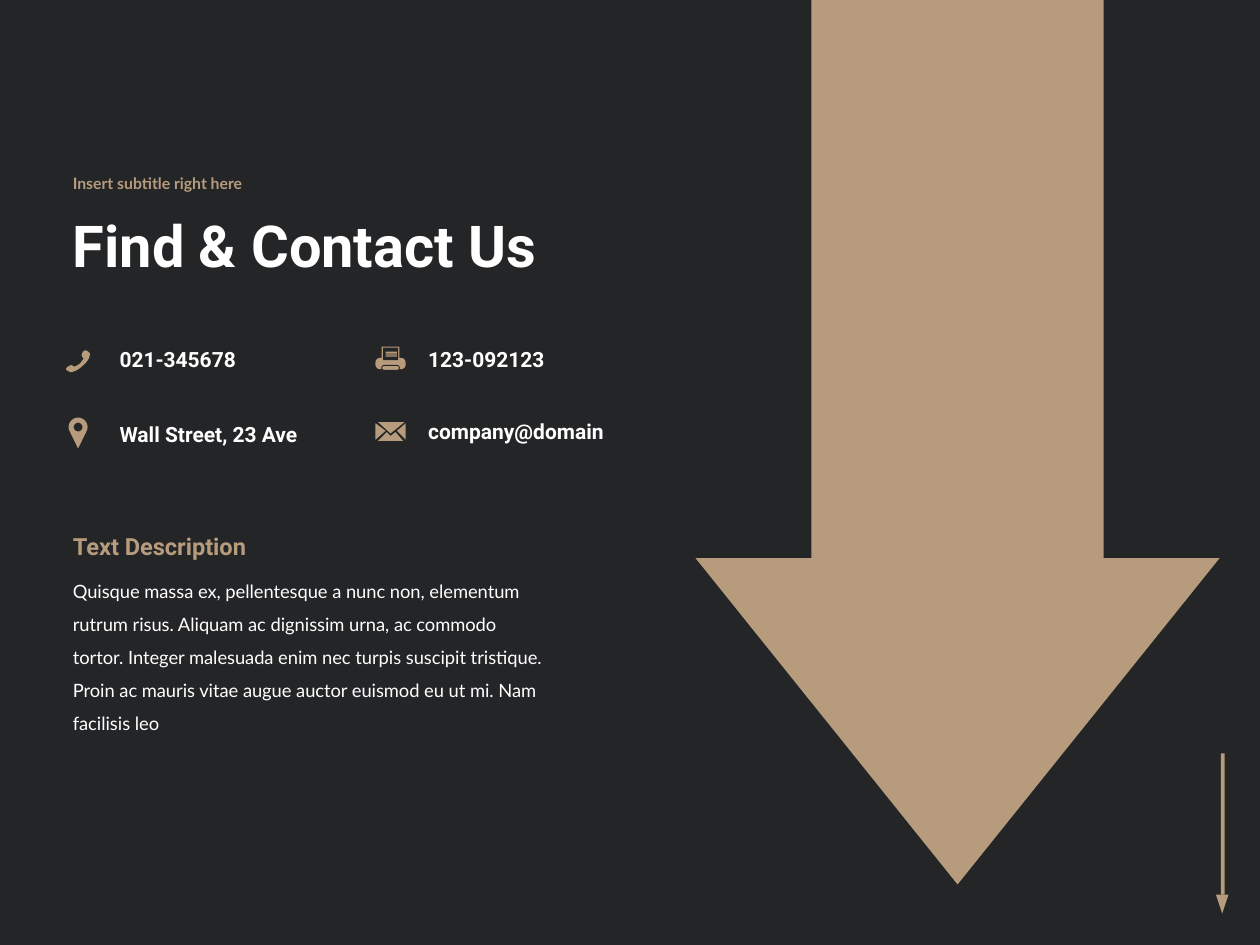
import math

from pptx import Presentation
from pptx.dml.color import RGBColor
from pptx.enum.shapes import MSO_SHAPE
from pptx.enum.text import MSO_ANCHOR, MSO_AUTO_SIZE
from pptx.util import Inches, Pt

RECTANGLE = MSO_SHAPE.RECTANGLE
ROUNDED = MSO_SHAPE.ROUNDED_RECTANGLE
TRIANGLE = MSO_SHAPE.ISOSCELES_TRIANGLE
MIDDLE = MSO_ANCHOR.MIDDLE
TOP = MSO_ANCHOR.TOP
FIT_SHAPE = MSO_AUTO_SIZE.SHAPE_TO_FIT_TEXT
NO_FIT = MSO_AUTO_SIZE.NONE

DARK, TAN, WHITE = "242527", "B69B7D", "FFFFFF"
HEADING_FONT, BODY_FONT = "Roboto", "Lato"
TEXT_LEFT = 0.48

BIG_ARROW = [(6.44, -0.44), (8.76, -0.44), (8.76, 4.43), (9.68, 4.43),
             (7.6, 7.02), (5.52, 4.43), (6.44, 4.43)]
HANDSET_START = (0.66, 2.84)
HANDSET_CURVES = [
    [(0.65, 2.83), (0.64, 2.82), (0.66, 2.79)],
    [(0.68, 2.77), (0.7, 2.79), (0.71, 2.8)],
    [(0.72, 2.81), (0.71, 2.86), (0.66, 2.9)],
    [(0.61, 2.95), (0.56, 2.96), (0.55, 2.95)],
    [(0.53, 2.94), (0.51, 2.93), (0.54, 2.91)],
    [(0.57, 2.89), (0.57, 2.9), (0.59, 2.91)],
    [(0.59, 2.91), (0.62, 2.9), (0.64, 2.88)],
    [(0.65, 2.86), (0.67, 2.85), (0.66, 2.84)],
]
ENVELOPE_FLAPS = [
    [(3, 3.35), (3.21, 3.35), (3.1, 3.44)],
    [(3.22, 3.36), (3.15, 3.42), (3.22, 3.49)],
    [(2.98, 3.36), (3.06, 3.42), (2.98, 3.49)],
    [(3.1, 3.46), (3.07, 3.43), (3, 3.5), (3.2, 3.5), (3.14, 3.43)],
]
CONTACTS = [
    ("021-345678", 0.85, 2.7, 1.65),
    ("123-092123", 3.3, 2.7, 2.3),
    ("Wall Street, 23 Ave", 0.85, 3.3, 2.02),
    ("company@domain", 3.3, 3.27, 2.3),
]


def color(hex_string):
    return RGBColor.from_string(hex_string)


def paint(shape, fill):
    shape.shadow.inherit = False
    shape.fill.solid()
    shape.fill.fore_color.rgb = color(fill)
    shape.line.fill.background()
    return shape


def add_preset(shapes, kind, left, top, width, height, fill=TAN):
    shape = shapes.add_shape(kind, Inches(left), Inches(top), Inches(width), Inches(height))
    return paint(shape, fill)


def add_outline(shapes, *contours):
    """Draw closed contours as one shape; a later contour cuts a hole."""
    first, *holes = [[(Inches(x), Inches(y)) for x, y in points] for points in contours]
    builder = shapes.build_freeform(*first[0])
    builder.add_line_segments(first[1:], close=True)
    for hole in holes:
        builder.move_to(*hole[0])
        builder.add_line_segments(hole[1:], close=True)
    return paint(builder.convert_to_shape(), TAN)


def curve_points(start, curves, steps=8):
    """Return points along a chain of cubic Bezier curves."""
    points = [start]
    for control_1, control_2, end in curves:
        begin = points[-1]
        for step in range(1, steps + 1):
            t = step / steps
            weights = ((1 - t) ** 3, 3 * t * (1 - t) ** 2, 3 * t * t * (1 - t), t ** 3)
            corners = (begin, control_1, control_2, end)
            points.append(tuple(sum(w * corner[axis] for w, corner in zip(weights, corners))
                                for axis in (0, 1)))
    return points


def arc_points(center_x, center_y, radius, start, end, step=10):
    return [(center_x + radius * math.cos(math.radians(angle)),
             center_y + radius * math.sin(math.radians(angle)))
            for angle in range(start, end + 1, step)]


def add_text(slide, text, left, top, width, height, size, font=HEADING_FONT, fill=WHITE,
             bold=True, line_spacing=1.0, anchor=TOP, fit=FIT_SHAPE):
    box = slide.shapes.add_textbox(Inches(left), Inches(top), Inches(width), Inches(height))
    frame = box.text_frame
    frame.word_wrap = True
    frame.auto_size = fit
    frame.vertical_anchor = anchor
    paragraph = frame.paragraphs[0]
    paragraph.text = text
    paragraph.line_spacing = line_spacing
    paragraph.font.name = font
    paragraph.font.size = Pt(size)
    paragraph.font.bold = bold
    paragraph.font.color.rgb = color(fill)


def add_arrows(slide):
    add_preset(slide.shapes, RECTANGLE, 9.69, 5.98, 0.03, 1.12)
    add_preset(slide.shapes, TRIANGLE, 9.65, 7.1, 0.1, 0.15).rotation = 180
    add_outline(slide.shapes, BIG_ARROW)


def add_pin(slide):
    center = (0.62, 3.39)
    head = arc_points(*center, 0.075, 150, 390)
    hole = arc_points(*center, 0.035, 0, 350)
    add_outline(slide.shapes, head + [(0.62, 3.56)], hole)


def add_printer(slide):
    shapes = slide.shapes.add_group_shape().shapes
    add_preset(shapes, ROUNDED, 2.98, 2.84, 0.24, 0.09).adjustments[0] = 0.4
    add_preset(shapes, RECTANGLE, 3.03, 2.75, 0.14, 0.11)
    add_preset(shapes, RECTANGLE, 3.04, 2.76, 0.12, 0.1, DARK)
    for row in range(3):
        add_preset(shapes, RECTANGLE, 3.06, 2.79 + 0.015 * row, 0.09, 0.01)
    tray = add_preset(shapes, ROUNDED, 3.03, 2.9, 0.14, 0.04)
    tray.adjustments[0] = 0.5
    tray.line.color.rgb = color(DARK)
    tray.line.width = Pt(0.5)


def add_envelope(slide):
    shapes = slide.shapes.add_group_shape().shapes
    for flap in ENVELOPE_FLAPS:
        add_outline(shapes, flap)


def main():
    presentation = Presentation()
    presentation.slide_width, presentation.slide_height = Inches(10), Inches(7.5)
    slide = presentation.slides.add_slide(presentation.slide_layouts[6])
    slide.background.fill.solid()
    slide.background.fill.fore_color.rgb = color(DARK)

    add_arrows(slide)
    add_text(slide, "Find & Contact Us", TEXT_LEFT, 1.46, 5.63, 1.03, 33,
             line_spacing=0.9, anchor=MIDDLE, fit=NO_FIT)
    add_text(slide, "Insert subtitle right here", TEXT_LEFT, 1.27, 5.63, 0.38, 9,
             font=BODY_FONT, fill=TAN, line_spacing=0.9, anchor=MIDDLE, fit=NO_FIT)
    add_text(slide, "Quisque massa ex, pellentesque a nunc non, elementum rutrum risus. "
             "Aliquam ac dignissim urna, ac commodo tortor. Integer malesuada enim nec "
             "turpis suscipit tristique. Proin ac mauris vitae augue auctor euismod eu "
             "ut mi. Nam facilisis leo", TEXT_LEFT, 4.47, 4, 1.13, 10.5,
             font=BODY_FONT, bold=False, line_spacing=1.5)
    add_text(slide, "Text Description", TEXT_LEFT, 4.17, 2.19, 0.33, 13.5, fill=TAN)
    for text, left, top, width in CONTACTS:
        add_text(slide, text, left, top, width, 0.3, 12)

    add_outline(slide.shapes, curve_points(HANDSET_START, HANDSET_CURVES))
    add_pin(slide)
    add_printer(slide)
    add_envelope(slide)
    presentation.save("out.pptx")


if __name__ == "__main__":
    main()
